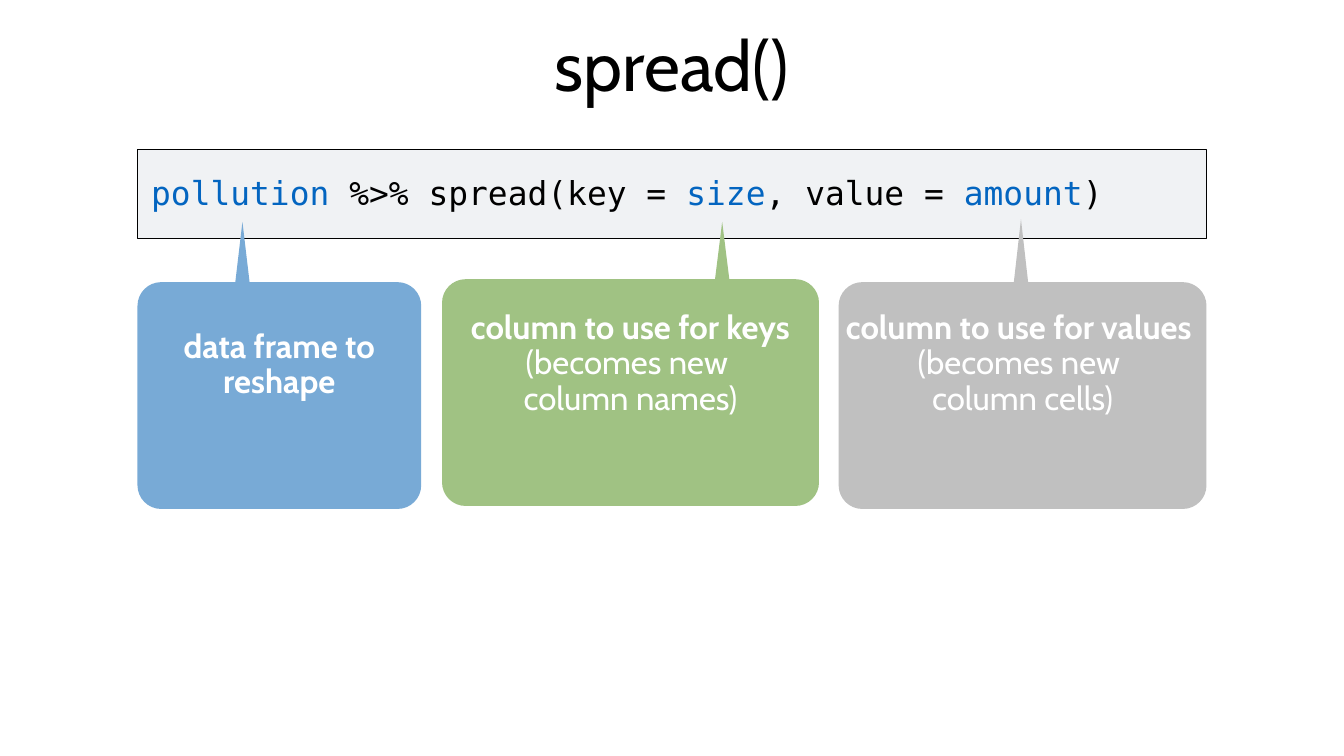
from pptx import Presentation
from pptx.dml.color import RGBColor
from pptx.enum.shapes import MSO_SHAPE
from pptx.enum.text import MSO_ANCHOR, MSO_AUTO_SIZE, PP_ALIGN
from pptx.oxml.ns import qn
from pptx.util import Cm, Pt
from lxml import etree

RECTANGLE = MSO_SHAPE.RECTANGLE
MIDDLE, TOP = MSO_ANCHOR.MIDDLE, MSO_ANCHOR.TOP
CENTER, LEFT = PP_ALIGN.CENTER, PP_ALIGN.LEFT
NO_AUTOFIT = MSO_AUTO_SIZE.NONE

COLORS = {
    "text": "000000", "argument": "0365C0", "panel": "F0F2F4",
    "data": "78AAD6", "key": "A0C283", "value": "C0C0C0", "white": "FFFFFF",
}
TEXT_FONT, CODE_FONT = "Cabin", "DejaVu Sans Mono"
BODY_SIZE = 47
CORNER_RADIUS = 1.19
POINTER_HALF_WIDTH = 0.36
ARC_FACTOR = 0.55


def color(name):
    return RGBColor.from_string(COLORS[name])


def format_frame(frame, inset, anchor):
    frame.word_wrap = True
    frame.auto_size = NO_AUTOFIT
    frame.vertical_anchor = anchor
    frame.margin_left = frame.margin_right = Cm(inset)
    frame.margin_top = frame.margin_bottom = Cm(inset)


def format_paragraph(paragraph, font_name, size, color_name, alignment):
    paragraph.alignment = alignment
    paragraph.font.name = font_name
    paragraph.font.size = Pt(size)
    paragraph.font.color.rgb = color(color_name)


def add_title(slide, text):
    title = slide.shapes.title
    title.left, title.top = Cm(11.13), Cm(-0.1)
    title.width, title.height = Cm(45.47), Cm(6.65)
    title.text_frame.text = text
    format_frame(title.text_frame, 0.15, MIDDLE)
    format_paragraph(title.text_frame.paragraphs[0], TEXT_FONT, 100, "text", CENTER)


def add_code(slide, parts):
    """Add the framed line of code; parts are (text, colour name) pairs."""
    panel = slide.shapes.add_shape(RECTANGLE, Cm(6.93), Cm(7.52), Cm(53.85), Cm(4.5))
    panel.shadow.inherit = False
    panel.fill.solid()
    panel.fill.fore_color.rgb = color("panel")
    panel.line.color.rgb = color("text")
    panel.line.width = Pt(1)

    box = slide.shapes.add_textbox(Cm(7.47), Cm(8.56), Cm(48.74), Cm(3.96))
    format_frame(box.text_frame, 0.15, TOP)
    paragraph = box.text_frame.paragraphs[0]
    format_paragraph(paragraph, CODE_FONT, BODY_SIZE, "text", LEFT)
    for text, color_name in parts:
        run = paragraph.add_run()
        run.text = text
        run.font.color.rgb = color(color_name)


def callout_points(left, top, width, height, tip_x, tip_y):
    """Outline of a box with cut corners and a pointer on its top edge."""
    radius = CORNER_RADIUS
    right, bottom = left + width, top + height
    points = [
        (tip_x, tip_y), (tip_x - POINTER_HALF_WIDTH, top),
        (left + radius, top), (left, top + radius),
        (left, bottom - radius), (left + radius, bottom),
        (right - radius, bottom), (right, bottom - radius),
        (right, top + radius), (right - radius, top),
        (tip_x + POINTER_HALF_WIDTH, top), (tip_x, tip_y),
    ]
    return [(Cm(x), Cm(y)) for x, y in points]


def round_corners(callout):
    """Turn the four cut corners of a callout into curves."""
    segments = list(callout._element.iter(qn("a:lnTo")))
    ends = [(int(segment[0].get("x")), int(segment[0].get("y"))) for segment in segments]
    for corner in range(4):
        index = 2 + 2 * corner
        start, end = ends[index - 1], ends[index]
        vertex = (start[0], end[1]) if corner % 2 else (end[0], start[1])
        controls = [
            [round(a + ARC_FACTOR * (b - a)) for a, b in zip(point, vertex)]
            for point in (start, end)
        ]
        curve = etree.Element(qn("a:cubicBezTo"))
        for x, y in (*controls, end):
            etree.SubElement(curve, qn("a:pt"), x=str(x), y=str(y))
        segments[index].getparent().replace(segments[index], curve)


def add_callout(slide, box, tip, fill, paragraphs):
    """Add a callout; each paragraph is a list of (text, bold) runs."""
    points = callout_points(*box, *tip)
    builder = slide.shapes.build_freeform(*points[0])
    builder.add_line_segments(points[1:], close=True)
    callout = builder.convert_to_shape()
    round_corners(callout)
    callout.shadow.inherit = False
    callout.fill.solid()
    callout.fill.fore_color.rgb = color(fill)
    callout.line.fill.background()

    frame = callout.text_frame
    format_frame(frame, 0.2, MIDDLE)
    for index, runs in enumerate(paragraphs):
        paragraph = frame.add_paragraph() if index else frame.paragraphs[0]
        format_paragraph(paragraph, TEXT_FONT, BODY_SIZE, "white", CENTER)
        paragraph.line_spacing = 0.9
        for text, bold in runs:
            run = paragraph.add_run()
            run.text = text
            run.font.bold = bold


def main():
    presentation = Presentation()
    presentation.slide_width, presentation.slide_height = Cm(67.74), Cm(38.1)
    slide = presentation.slides.add_slide(presentation.slide_layouts[5])

    add_title(slide, "spread()")
    add_code(slide, [
        ("pollution", "argument"), (" %>% spread(key = ", "text"),
        ("size", "argument"), (", value =", "text"),
        (" amount", "argument"), (")", "text"),
    ])

    # Callouts: box is left, top, width, height; tip is the pointer's end
    add_callout(slide, (22.28, 14.07, 19, 11.43), (36.4, 11.18), "key", [
        [("column to use for keys ", True), ("(becomes new ", False)],
        [("column names)", False)],
    ])
    add_callout(slide, (6.93, 14.22, 14.3, 11.43), (12.22, 11.18), "data", [
        [("data frame to reshape", True)],
    ])
    add_callout(slide, (42.27, 14.22, 18.54, 11.43), (51.46, 11.05), "value", [
        [("column to use for values ", True)],
        [("(becomes new ", False)],
        [("column cells)", False)],
    ])

    presentation.save("out.pptx")


if __name__ == "__main__":
    main()
